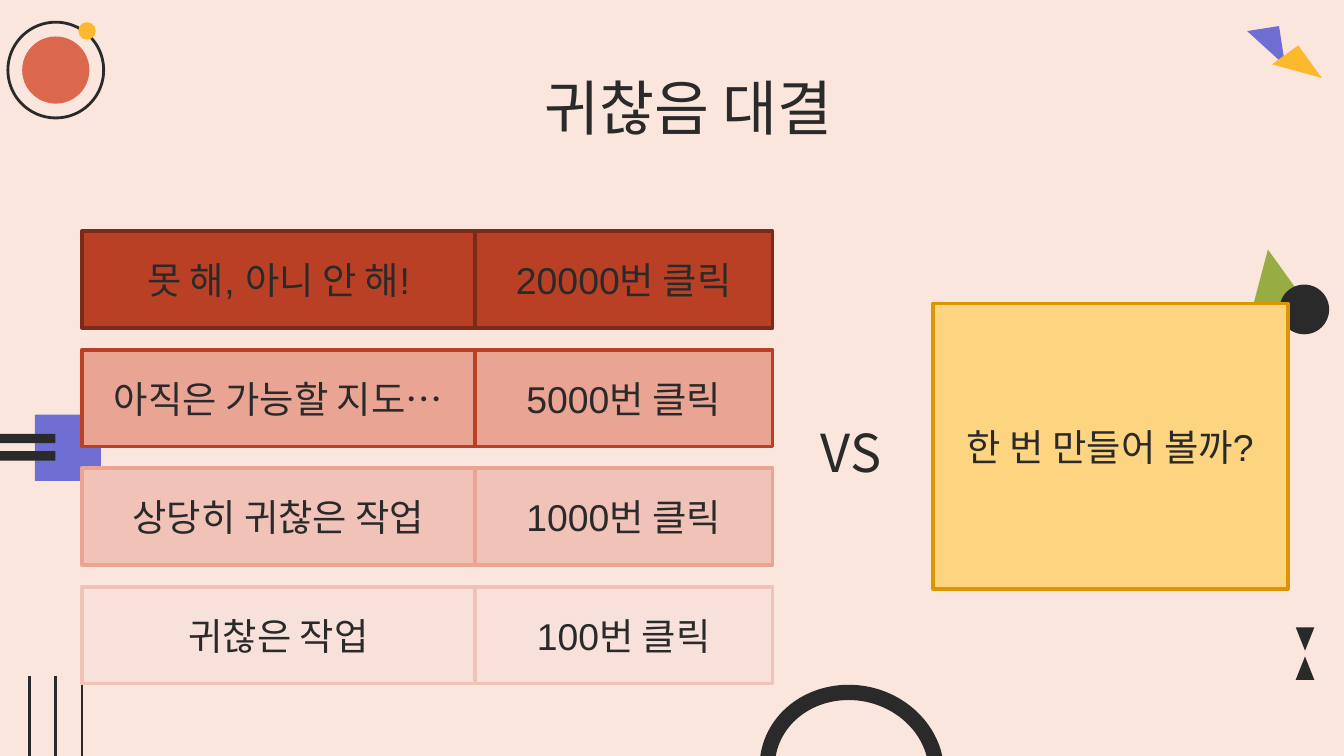
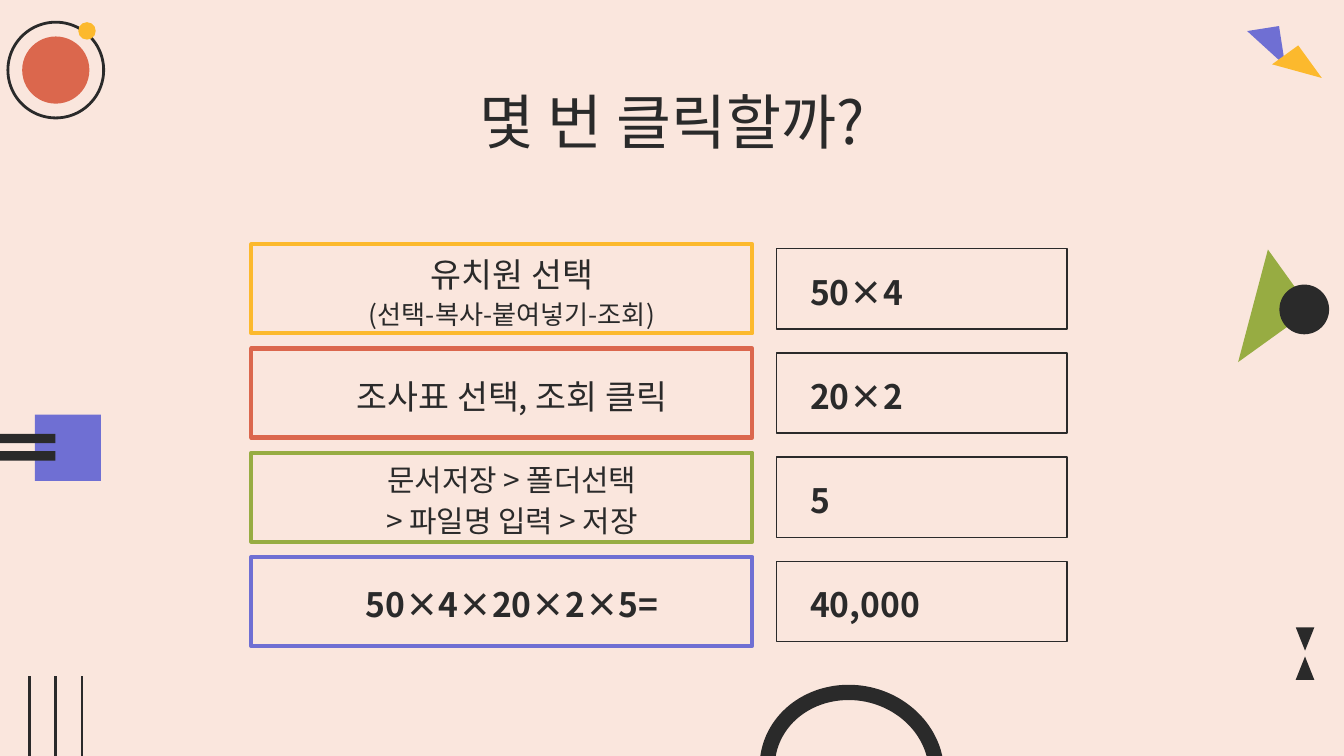
from dataclasses import dataclass
from typing import Optional

from lxml import etree
from pptx import Presentation
from pptx.dml.color import RGBColor
from pptx.enum.shapes import MSO_CONNECTOR, MSO_SHAPE
from pptx.enum.text import MSO_ANCHOR, MSO_AUTO_SIZE, PP_ALIGN
from pptx.oxml.ns import qn
from pptx.util import Cm, Pt

RECT, OVAL = MSO_SHAPE.RECTANGLE, MSO_SHAPE.OVAL
RIGHT_TRIANGLE, TRIANGLE = MSO_SHAPE.RIGHT_TRIANGLE, MSO_SHAPE.ISOSCELES_TRIANGLE
ARC = MSO_SHAPE.BLOCK_ARC
STRAIGHT = MSO_CONNECTOR.STRAIGHT
TOP, MIDDLE = MSO_ANCHOR.TOP, MSO_ANCHOR.MIDDLE
LEFT, CENTER = PP_ALIGN.LEFT, PP_ALIGN.CENTER
NO_FIT = MSO_AUTO_SIZE.NONE

KOREAN = "Noto Sans CJK KR"
LATIN = "Arial"
INSET = Cm(0.25)
COLORS = {
    "paper": "FAE6DD", "ink": "2A2A2A", "violet": "6F6FD3",
    "amber": "FCB92D", "coral": "DB674D", "olive": "97AC42",
    "maroon": "7B2B19", "brick": "B94025", "salmon": "E9A494",
    "rose": "F1C2B8", "blush": "F8E1DB", "honey": "FDD581", "ochre": "DC9603",
}


@dataclass(frozen=True)
class Frame:
    left: float
    top: float
    width: float
    height: float

    def lengths(self):
        return Cm(self.left), Cm(self.top), Cm(self.width), Cm(self.height)


@dataclass(frozen=True)
class Figure:
    kind: int
    frame: Frame
    fill: Optional[str] = None
    line: Optional[str] = None
    weight: float = 1.5
    rotation: float = 0
    flipped: bool = False
    adjustments: tuple = ()


@dataclass(frozen=True)
class Line:
    text: str
    size: float = 18
    bold: bool = False


@dataclass(frozen=True)
class Effort:
    label: str
    count: str
    fill: str
    line: str


@dataclass(frozen=True)
class Step:
    lines: tuple
    value: str
    line: str


DECORATIONS = (
    Figure(RECT, Frame(0.66, 7.84, 1.25, 1.25), "violet"),
    Figure(RIGHT_TRIANGLE, Frame(23.55, 0.61, 0.76, 0.61), "violet", rotation=261.1, flipped=True),
    Figure(RIGHT_TRIANGLE, Frame(24.13, 1.04, 0.76, 0.61), "amber", rotation=234.1, flipped=True),
    Figure(TRIANGLE, Frame(24.49, 12.41, 0.35, 0.44), "ink", flipped=True),
    Figure(TRIANGLE, Frame(24.49, 11.86, 0.35, 0.44), "ink", rotation=180, flipped=True),
    Figure(OVAL, Frame(0.15, 0.42, 1.81, 1.81), line="ink"),
    Figure(OVAL, Frame(0.42, 0.69, 1.27, 1.27), "coral"),
    Figure(OVAL, Frame(1.48, 0.42, 0.33, 0.33), "amber"),
    Figure(RIGHT_TRIANGLE, Frame(22.83, 5.08, 1.7, 1.4), "olive", rotation=324.3, flipped=True),
    Figure(ARC, Frame(14.35, 12.95, 3.5, 3.2), "ink", rotation=11.7, flipped=True,
           adjustments=(99.4, 17.49, 0.09)),
    Figure(RECT, Frame(-0.66, 8.2, 1.71, 0.18), "ink"),
    Figure(RECT, Frame(-0.66, 8.53, 1.71, 0.18), "ink"),
    Figure(OVAL, Frame(24.18, 5.38, 0.94, 0.94), "ink"),
)
EFFORTS = (
    Effort("못 해, 아니 안 해!", "20000번 클릭", "brick", "maroon"),
    Effort("아직은 가능할 지도…", "5000번 클릭", "salmon", "brick"),
    Effort("상당히 귀찮은 작업", "1000번 클릭", "rose", "salmon"),
    Effort("귀찮은 작업", "100번 클릭", "blush", "rose"),
)
STEPS = (
    Step((Line("유치원 선택"), Line("(선택-복사-붙여넣기-조회)", 14)), "50×4", "amber"),
    Step((Line("조사표 선택, 조회 클릭"),), "20×2", "coral"),
    Step((Line("문서저장 > 폴더선택", 16), Line("> 파일명 입력 > 저장", 16)), "5", "olive"),
    Step((Line("50×4×20×2×5=", bold=True),), "40,000", "violet"),
)


def rgb(name: str) -> RGBColor:
    return RGBColor.from_string(COLORS[name])


def write(shape, lines: tuple, font: str, align=CENTER, anchor=MIDDLE):
    frame = shape.text_frame
    frame.text = "\n".join(line.text for line in lines)
    frame.word_wrap = True
    frame.auto_size = NO_FIT
    frame.vertical_anchor = anchor
    for para, line in zip(frame.paragraphs, lines):
        para.alignment = align
        for span in para.runs:
            span.font.name = font
            span.font.size = Pt(line.size)
            span.font.bold = line.bold
            span.font.color.rgb = rgb("ink")
            east_asian = etree.SubElement(span.font._element, qn("a:ea"))
            east_asian.set("typeface", KOREAN)
    return frame


def set_insets(frame) -> None:
    frame.margin_left = frame.margin_right = INSET
    frame.margin_top = frame.margin_bottom = INSET


def draw(page, figure: Figure):
    shape = page.shapes.add_shape(figure.kind, *figure.frame.lengths())
    shape.shadow.inherit = False
    if figure.fill:
        shape.fill.solid()
        shape.fill.fore_color.rgb = rgb(figure.fill)
    else:
        shape.fill.background()
    if figure.line:
        shape.line.color.rgb = rgb(figure.line)
        shape.line.width = Pt(figure.weight)
    else:
        shape.line.fill.background()
    shape.rotation = figure.rotation
    if figure.flipped:
        shape._element.spPr.find(qn("a:xfrm")).set("flipH", "1")
    for index, value in enumerate(figure.adjustments):
        shape.adjustments[index] = value
    return shape


def draw_stripe(page, left: float):
    stripe = page.shapes.add_connector(STRAIGHT, Cm(left), Cm(12.78), Cm(left), Cm(14.29))
    stripe.line.color.rgb = rgb("ink")
    stripe.line.width = Pt(1.5)
    etree.SubElement(stripe._element.spPr, qn("a:effectLst"))
    return stripe


def decorate_layout(layout, page) -> None:
    layout.background.fill.solid()
    layout.background.fill.fore_color.rgb = rgb("paper")
    tree = layout.shapes._spTree
    for holder in list(layout.placeholders)[1:]:
        tree.remove(holder._element)
    decorations = [draw(page, figure) for figure in DECORATIONS]
    decorations += [draw_stripe(page, 0.55 + 0.5 * index) for index in range(3)]
    for shape in decorations:
        tree.append(shape._element)


def set_title(page, text: str, left: float, top: float) -> None:
    title = page.shapes.title
    title.left, title.top, title.width, title.height = Frame(left, top, 21.41, 1.6).lengths()
    frame = write(title, (Line(text, 32),), KOREAN, anchor=TOP)
    set_insets(frame)
    frame.paragraphs[0].line_spacing = 0.9


def draw_card(page, text: str, frame: Frame, fill: str, line: str) -> None:
    card = draw(page, Figure(RECT, frame, fill, line, 2))
    write(card, (Line(text, 20),), LATIN)


def draw_cell(page, lines: tuple, frame: Frame, line: str, weight: float, align) -> None:
    cell = draw(page, Figure(RECT, frame, line=line, weight=weight))
    text = write(cell, lines, KOREAN, align)
    set_insets(text)
    text.word_wrap = align == LEFT
    for para in text.paragraphs:
        para.line_spacing = 1.15
        properties = para._p.get_or_add_pPr()
        properties.set("marL", str(Cm(1.27)))
        properties.set("indent", str(Cm(-0.89)))


def fill_contest(page) -> None:
    set_title(page, "귀찮음 대결", 2.31, 1.24)
    for row, effort in reversed(list(enumerate(EFFORTS))):
        top = 4.37 + 2.24 * row
        draw_card(page, effort.label, Frame(1.55, top, 7.43, 1.83), effort.fill, effort.line)
        draw_card(page, effort.count, Frame(8.98, top, 5.62, 1.83), effort.fill, effort.line)
    draw_card(page, "한 번 만들어 볼까?", Frame(17.63, 5.74, 6.71, 5.39), "honey", "ochre")
    versus = page.shapes.add_textbox(*Frame(14.61, 7.52, 2.95, 2.03).lengths())
    write(versus, (Line("VS", 28),), KOREAN)


def fill_clicks(page) -> None:
    set_title(page, "몇 번 클릭할까?", 2, 1.5)
    for row, step in enumerate(STEPS):
        top = 4.62 + 1.97 * row
        draw_cell(page, step.lines, Frame(4.75, top, 9.47, 1.68), step.line, 2.25, CENTER)
        value = (Line(step.value, bold=True),)
        draw_cell(page, value, Frame(14.68, top + 0.08, 5.49, 1.52), "ink", 0.75, LEFT)


def main() -> None:
    deck = Presentation()
    deck.slide_width, deck.slide_height = Cm(25.4), Cm(14.29)
    layout = deck.slide_layouts[5]
    contest = deck.slides.add_slide(layout)
    decorate_layout(layout, contest)
    fill_contest(contest)
    fill_clicks(deck.slides.add_slide(layout))
    deck.save("out.pptx")


if __name__ == "__main__":
    main()
